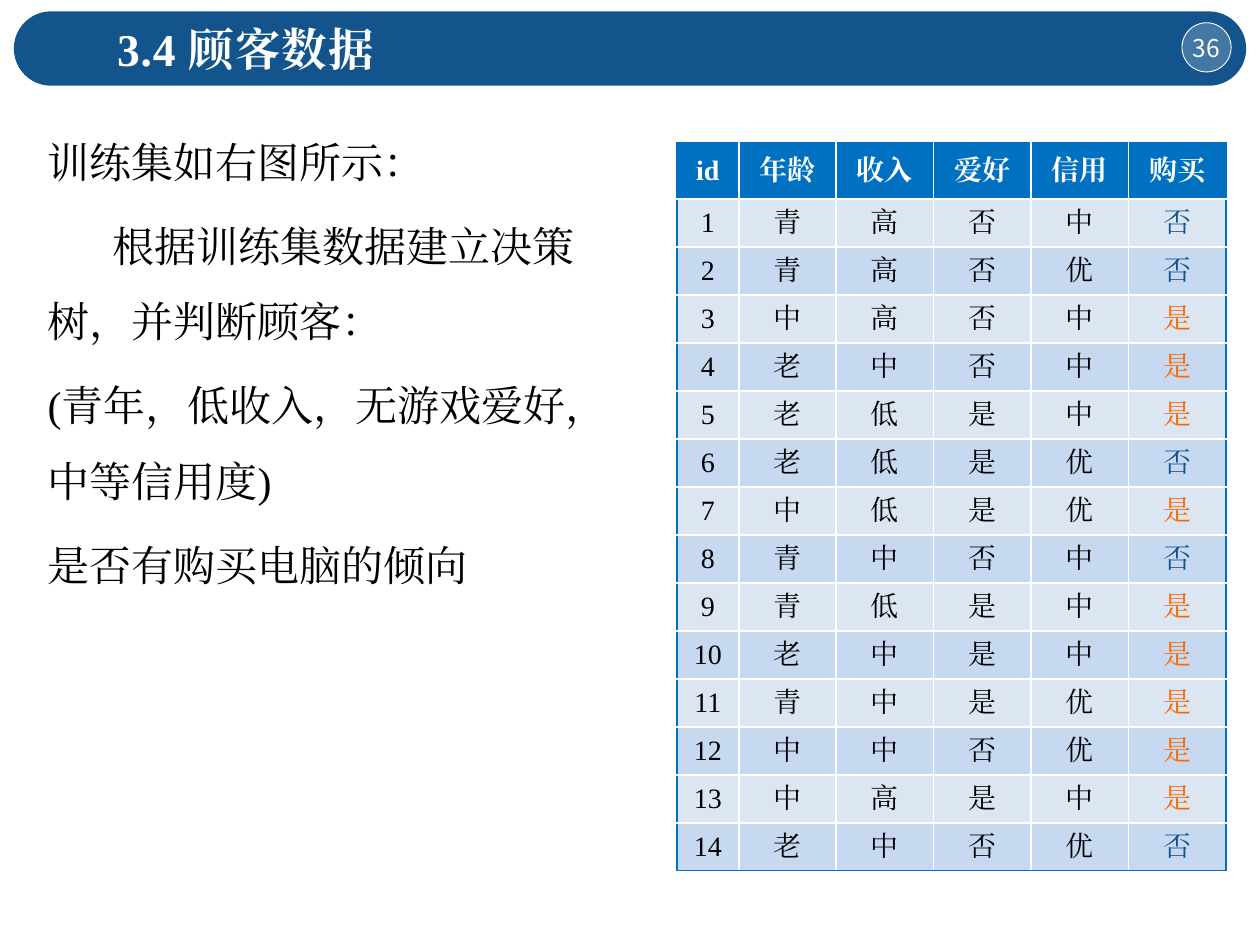
from dataclasses import dataclass

from pptx import Presentation
from pptx.dml.color import RGBColor
from pptx.enum.shapes import MSO_SHAPE
from pptx.enum.text import MSO_ANCHOR, MSO_AUTO_SIZE, PP_ALIGN
from pptx.oxml import parse_xml
from pptx.oxml.ns import nsdecls, qn
from pptx.util import Pt
from lxml.etree import SubElement


@dataclass(frozen=True)
class Theme:
    navy: str = "13548C"
    blue: str = "0070C0"
    orange: str = "FF6600"
    white: str = "FFFFFF"
    black: str = "000000"
    bands: tuple[str, str] = ("DCE6F2", "C6D9F1")
    font: str = "Times New Roman"
    number_font: str = "Noto Sans CJK SC"
    title_size: float = 26
    body_size: float = 24
    table_size: float = 16
    number_size: float = 14
    border: float = 1


@dataclass(frozen=True)
class Box:
    left: float
    top: float
    width: float
    height: float

    def emu(self) -> tuple[Pt, Pt, Pt, Pt]:
        return Pt(self.left), Pt(self.top), Pt(self.width), Pt(self.height)


@dataclass(frozen=True)
class BodyLine:
    text: str
    indent: float = 0


THEME = Theme()
BAR = Box(7.9, 6.5, 704.2, 42.5)
BADGE = Box(675.4, 13, 28.1, 28.1)
TITLE = Box(59.8, 8.6, 652.3, 38.9)
BODY = Box(20.2, 59.8, 328.3, 281.5)
TABLE = Box(386.8, 81.4, 313.9, 416.3)
ID_WIDTH, COLUMN_WIDTH = 35.4, 55.7
HEAD_HEIGHT, ROW_HEIGHT = 32.4, 27.42

LINES = (
    BodyLine("训练集如右图所示："),
    BodyLine("根据训练集数据建立决策树，并判断顾客：", 37),
    BodyLine("(青年，低收入，无游戏爱好，中等信用度)"),
    BodyLine("是否有购买电脑的倾向"),
)
HEADER = ("id", "年龄", "收入", "爱好", "信用", "购买")
CUSTOMERS = (
    "青高否中否", "青高否优否", "中高否中是", "老中否中是", "老低是中是",
    "老低是优否", "中低是优是", "青中否中否", "青低是中是", "老中是中是",
    "青中是优是", "中中否优是", "中高是中是", "老中否优否",
)


def rgb(color: str) -> RGBColor:
    return RGBColor.from_string(color)


def add_run(p, text: str, size: float, color: str, bold: bool = False, font: str = THEME.font):
    r = p.add_run()
    r.text = text
    r.font.size = Pt(size)
    r.font.bold = bold
    r.font.name = font
    r.font.color.rgb = rgb(color)
    SubElement(r._r.get_or_add_rPr(), qn("a:ea")).set("typeface", font)
    return r


def add_filled(s, kind: MSO_SHAPE, box: Box, color: str):
    sp = s.shapes.add_shape(kind, *box.emu())
    sp.shadow.inherit = False
    sp.fill.solid()
    sp.fill.fore_color.rgb = rgb(color)
    sp.line.fill.background()
    return sp


def add_text_box(s, box: Box):
    tf = s.shapes.add_textbox(*box.emu()).text_frame
    tf.word_wrap = True
    tf.auto_size = MSO_AUTO_SIZE.SHAPE_TO_FIT_TEXT
    return tf


def add_header(s) -> None:
    bar = add_filled(s, MSO_SHAPE.ROUNDED_RECTANGLE, BAR, THEME.navy)
    bar.adjustments[0] = 0.5

    badge = add_filled(s, MSO_SHAPE.OVAL, BADGE, THEME.white)
    color = badge._element.spPr.find(qn("a:solidFill")).find(qn("a:srgbClr"))
    SubElement(color, qn("a:alpha")).set("val", "21000")
    badge.line.color.rgb = rgb(THEME.white)
    badge.line.width = Pt(0.5)
    tf = badge.text_frame
    tf.margin_left = tf.margin_right = tf.margin_top = tf.margin_bottom = 0
    tf.word_wrap = False
    tf.vertical_anchor = MSO_ANCHOR.MIDDLE
    p = tf.paragraphs[0]
    p.alignment = PP_ALIGN.CENTER
    add_run(p, "36", THEME.number_size, THEME.white, font=THEME.number_font)

    p = add_text_box(s, TITLE).paragraphs[0]
    r = add_run(p, "3.4 顾客数据", THEME.title_size, THEME.white, bold=True)
    r._r.get_or_add_rPr().set("spc", "50")


def add_body(s) -> None:
    tf = add_text_box(s, BODY)
    for i, line in enumerate(LINES):
        p = tf.add_paragraph() if i else tf.paragraphs[0]
        p.line_spacing = 1.5
        p.space_before = Pt(4.8 if i else 0)
        if line.indent:
            p._p.get_or_add_pPr().set("indent", str(Pt(line.indent)))
        add_run(p, line.text, THEME.body_size, THEME.black)


def set_borders(cell, edges: dict[str, str]) -> None:
    tcPr = cell._tc.get_or_add_tcPr()
    for i, (side, color) in enumerate(edges.items()):
        tcPr.insert(i, parse_xml(
            f'<a:ln{side} {nsdecls("a")} w="{Pt(THEME.border)}"><a:solidFill>'
            f'<a:srgbClr val="{color}"/></a:solidFill></a:ln{side}>'))


def add_customer_table(s) -> None:
    rows = [HEADER] + [(str(i), *values) for i, values in enumerate(CUSTOMERS, 1)]
    last_row, last_col = len(rows) - 1, len(HEADER) - 1
    table = s.shapes.add_table(len(rows), len(HEADER), *TABLE.emu()).table
    for c, column in enumerate(table.columns):
        column.width = Pt(COLUMN_WIDTH if c else ID_WIDTH)
    for i, row in enumerate(table.rows):
        row.height = Pt(ROW_HEIGHT if i else HEAD_HEIGHT)
    for i, values in enumerate(rows):
        for c, text in enumerate(values):
            cell = table.cell(i, c)
            cell.vertical_anchor = MSO_ANCHOR.MIDDLE
            cell.fill.solid()
            cell.fill.fore_color.rgb = rgb(THEME.bands[(i - 1) % 2] if i else THEME.blue)
            outer = {"L": c == 0, "R": c == last_col, "T": i == 0, "B": i == last_row}
            set_borders(cell, {side: THEME.blue if edge else THEME.white
                               for side, edge in outer.items()})
            color = THEME.black if i else THEME.white
            if i and c == last_col:
                color = THEME.orange if text == "是" else THEME.navy
            p = cell.text_frame.paragraphs[0]
            p.alignment = PP_ALIGN.CENTER
            add_run(p, text, THEME.table_size, color, bold=i == 0)


def main() -> None:
    prs = Presentation()
    prs.slide_width, prs.slide_height = Pt(720), Pt(540)
    s = prs.slides.add_slide(prs.slide_layouts[6])
    add_header(s)
    add_body(s)
    add_customer_table(s)
    prs.save("out.pptx")


if __name__ == "__main__":
    main()
